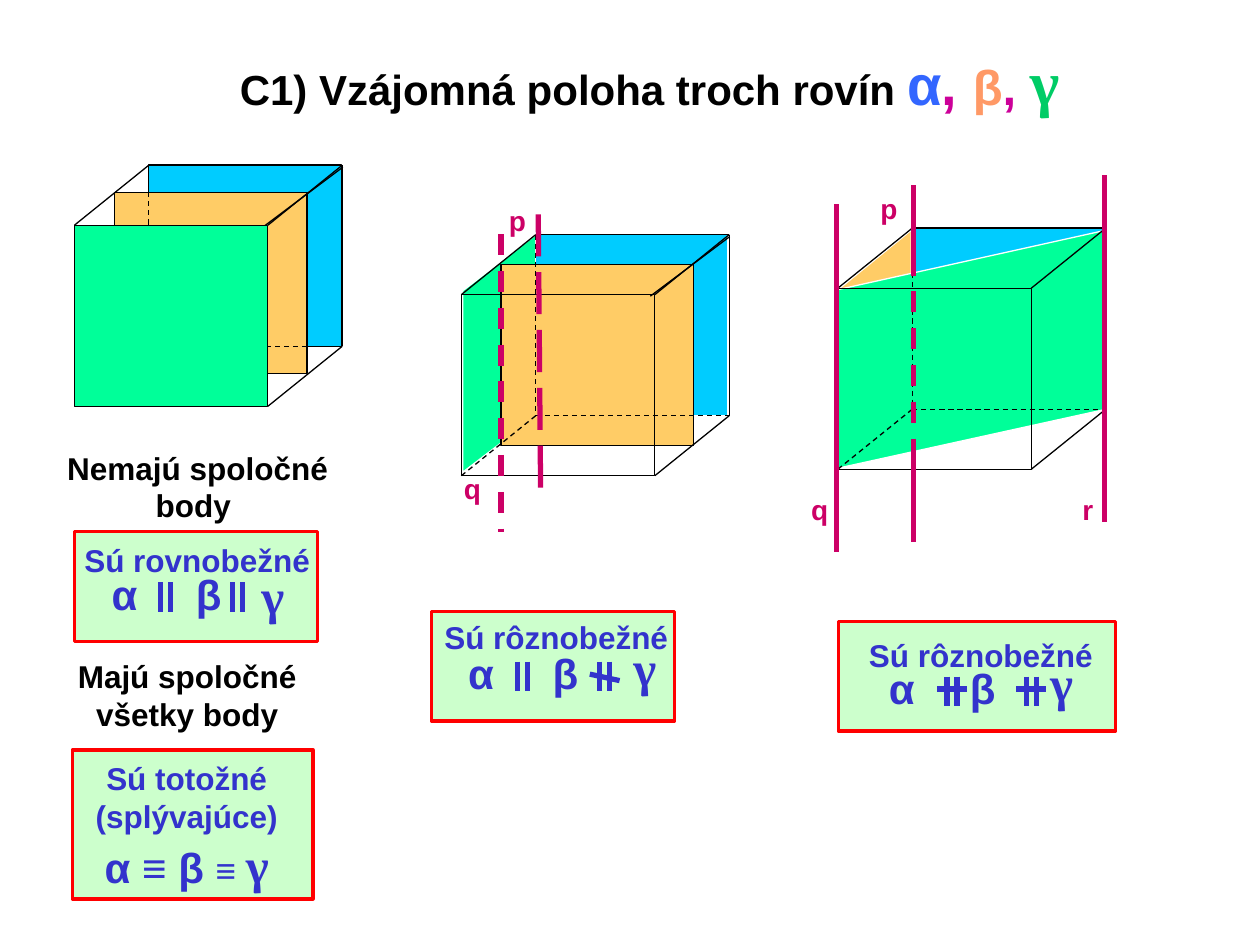
import pptx
import pptx.util
from lxml import etree
from pptx.dml.color import RGBColor
from pptx.enum.dml import MSO_LINE
from pptx.enum.shapes import MSO_CONNECTOR, MSO_SHAPE
from pptx.enum.text import MSO_AUTO_SIZE, PP_ALIGN
from pptx.oxml.ns import qn
from pptx.util import Cm, Pt

BLACK = RGBColor(0x00, 0x00, 0x00)
WHITE = RGBColor(0xFF, 0xFF, 0xFF)
CYAN = RGBColor(0x00, 0xCC, 0xFF)
ORANGE = RGBColor(0xFF, 0xCC, 0x66)
GREEN = RGBColor(0x00, 0xFF, 0x99)
MINT = RGBColor(0xCC, 0xFF, 0xCC)
RED = RGBColor(0xFF, 0x00, 0x00)
INDIGO = RGBColor(0x33, 0x33, 0xCC)
CRIMSON = RGBColor(0xCC, 0x00, 0x66)
ALPHA_BLUE = RGBColor(0x33, 0x66, 0xFF)
BETA_ORANGE = RGBColor(0xFF, 0x99, 0x66)
GAMMA_GREEN = RGBColor(0x00, 0xCC, 0x66)
COMMA_PINK = RGBColor(0xCC, 0x00, 0x99)
SANS, SERIF = "Arial", "Times New Roman"
LEFT, CENTER = PP_ALIGN.LEFT, PP_ALIGN.CENTER
DASH, LONG_DASH = MSO_LINE.DASH, MSO_LINE.LONG_DASH

TITLE = [
    ("C1) Vzájomná poloha troch rovín ", 24, BLACK, SANS),
    ("α", 32, ALPHA_BLUE, SANS),
    (", ", 32, COMMA_PINK, SANS),
    ("β", 28, BETA_ORANGE, SANS),
    (", ", 28, COMMA_PINK, SANS),
    ("γ", 36, GAMMA_GREEN, SERIF),
]
IDENTITY = [
    ("α ≡ β ", 24, INDIGO, SANS),
    ("≡ ", 20, INDIGO, SANS),
    ("γ", 28, INDIGO, SERIF),
]
STATEMENTS = [
    ((1.1, 8.92, 5.77, 1.78), ["Nemajú spoločné", "body "]),
    ((1.31, 13.13, 4.93, 1.78), ["Majú spoločné", "všetky body"]),
]
VERDICTS = [
    ((1.5, 10.72, 4.9, 2.21), (1.35, 10.79, 5.25, 1.85), ["Sú rovnobežné"], []),
    ((1.46, 15.12, 4.85, 3), (1.67, 15.18, 4.19, 2.97), ["Sú totožné", "(splývajúce)"], [IDENTITY]),
    ((8.7, 12.33, 4.9, 2.21), (8.6, 12.33, 5.23, 2.03), ["Sú rôznobežné"], []),
    ((16.9, 12.53, 5.59, 2.21), (17.16, 12.7, 5.23, 2.03), ["Sú rôznobežné"], []),
]
RELATIONS = [
    {"alpha": (2, 11.33), "beta": 1.7, "gamma": (3.02, -0.05), "marks": [(1.24, None), (2.69, None)]},
    {"alpha": (9.19, 12.93), "beta": 1.7, "gamma": (3.33, -0.2), "marks": [(1.24, None), (2.9, 0.13)]},
    {"alpha": (17.67, 13.23), "beta": 1.63, "gamma": (3.25, -0.2), "marks": [(1.42, 0), (3.02, 0)]},
]

WIDTH, HEIGHT, DEPTH, RISE = 3.9, 3.65, 1.5, 1.21
PLANE_WIDTH = 3.88
BACK = (DEPTH, -RISE)
INNER_EDGE = (5.41, -1.17, 3.81, 0.03)
CUBES = [
    {"origin": (1.5, 4.54), "sides": [],
     "planes": [(BACK, CYAN, BLACK), ((0.81, -0.66), ORANGE, BLACK)],
     "cuts": [], "edges": [INNER_EDGE], "front": GREEN},
    {"origin": (9.3, 5.94),
     "sides": [([(0.03, -0.08), (1.52, -1.22), (1.52, 2.44), (0.03, 3.58)], GREEN, WHITE)],
     "planes": [(BACK, CYAN, WHITE), ((0.8, -0.61), ORANGE, BLACK)],
     "cuts": [], "edges": [INNER_EDGE], "front": None},
    {"origin": (16.89, 5.81),
     "sides": [([(-0.03, 0.08), (1.47, -1.14), (1.47, 2.49), (-0.03, 3.68)], ORANGE, None)],
     "planes": [(BACK, CYAN, None)],
     "cuts": [([(0, 0.03), (5.41, -1.17), (5.41, 2.44), (0, 3.63)], GREEN, WHITE)],
     "edges": [], "front": None},
]
INTERSECTIONS = [
    (10.1, 4.72, 10.1, 10.72, DASH),
    (10.85, 4.32, 10.9, 10.13, LONG_DASH),
    (22.27, 3.53, 22.27, 10.52, None),
    (18.42, 3.73, 18.42, 5.54, None),
    (18.42, 5.13, 18.42, 9.12, DASH),
    (18.42, 9.12, 18.42, 10.92, None),
    (16.87, 4.12, 16.87, 11.12, None),
]
LINE_NAMES = [("p", 10.01, 3.97), ("q", 9.1, 9.39), ("p", 17.5, 3.73), ("q", 16.1, 9.8), ("r", 21.57, 9.8)]


def paint(shape, fill, line, weight=0.75):
    shape.shadow.inherit = False
    if fill is None:
        shape.fill.background()
    else:
        shape.fill.solid()
        shape.fill.fore_color.rgb = fill
    if line is None:
        shape.line.fill.background()
    else:
        shape.line.color.rgb = line
        shape.line.width = Pt(weight)


def add_rectangle(page, frame, fill, line, weight=0.75):
    paint(page.shapes.add_shape(MSO_SHAPE.RECTANGLE, *map(Cm, frame)), fill, line, weight)


def add_polygon(page, origin, points, fill, line):
    corners = [(Cm(origin[0] + x), Cm(origin[1] + y)) for x, y in points]
    builder = page.shapes.build_freeform(*corners[0])
    builder.add_line_segments(corners[1:], close=True)
    paint(builder.convert_to_shape(), fill, line)


def add_line(page, ends, color, weight, dash=None):
    line = page.shapes.add_connector(MSO_CONNECTOR.STRAIGHT, *map(Cm, ends))
    line.line.color.rgb = color
    line.line.width = Pt(weight)
    if dash is not None:
        line.line.dash_style = dash
    etree.SubElement(line._element.spPr, qn("a:effectLst"))


def set_font(font, size, color, name):
    font.size, font.name, font.bold = Pt(size), name, True
    font.color.rgb = color


def add_text(page, frame, paragraphs, align=LEFT, wrap=False):
    text = page.shapes.add_textbox(*map(Cm, frame)).text_frame
    text.word_wrap = wrap
    text.auto_size = MSO_AUTO_SIZE.SHAPE_TO_FIT_TEXT
    for index, spans in enumerate(paragraphs):
        para = text.add_paragraph() if index else text.paragraphs[0]
        para.alignment = align
        for words, *style in spans:
            span = para.add_run()
            span.text = words
            set_font(para.font if len(spans) == 1 else span.font, *style)


def add_cube(page, cube):
    x, y = cube["origin"]
    left, top = x + DEPTH, y - RISE
    right, bottom = left + WIDTH, top + HEIGHT
    for side in cube["sides"]:
        add_polygon(page, (x, y), *side)
    for (dx, dy), fill, line in cube["planes"]:
        add_rectangle(page, (x + dx, y + dy, PLANE_WIDTH, HEIGHT), fill, line)
    for cut in cube["cuts"]:
        add_polygon(page, (x, y), *cut)
    for x1, y1, x2, y2 in cube["edges"]:
        add_line(page, (x + x1, y + y1, x + x2, y + y2), BLACK, 0.75)
    edges = [
        (right, top, right, bottom, None),
        (left, top, right, top, None),
        (left, bottom, right, bottom, DASH),
        (left, top, left, bottom, DASH),
        (x, y, left, top, None),
        (x + WIDTH, y, right, top, None),
        (x + WIDTH, y + HEIGHT, right, bottom, None),
    ]
    if cube["front"] is None:
        edges.append((x, y + HEIGHT, left, bottom, DASH))
    for *ends, dash in edges:
        add_line(page, ends, BLACK, 0.75, dash)
    add_rectangle(page, (x, y, WIDTH, HEIGHT), cube["front"], BLACK)


def add_relation(page, relation):
    x, y = relation["alpha"]
    dx, dy = relation["gamma"]
    add_text(page, (x, y, 1.04, 1.27), [[("α", 24, INDIGO, SANS)]])
    add_text(page, (x + relation["beta"], y, 1.02, 1.27), [[("β", 24, INDIGO, SANS)]])
    add_text(page, (x + dx, y + dy, 0.97, 1.45), [[("γ", 28, INDIGO, SERIF)]])
    for offset, drop in relation["marks"]:
        mark = x + offset
        for bar in (mark, mark + 0.2):
            add_line(page, (bar, y + 0.41, bar, y + 1), INDIGO, 3)
        if drop is not None:
            add_line(page, (mark - 0.2, y + 0.66, mark + 0.4, y + 0.66 + drop), INDIGO, 3)


def main():
    deck = pptx.Presentation()
    deck.slide_width, deck.slide_height = Cm(25.4), Cm(19.05)
    page = deck.slides.add_slide(deck.slide_layouts[6])
    add_text(page, (4.09, 0.73, 18.01, 1.78), [TITLE], CENTER, True)
    for cube in CUBES:
        add_cube(page, cube)
    for *ends, dash in INTERSECTIONS:
        add_line(page, ends, CRIMSON, 3, dash)
    for name, x, y in LINE_NAMES:
        add_text(page, (x, y, 0.86, 0.94), [[(name, 16, CRIMSON, SANS)]])
    for frame, lines in STATEMENTS:
        add_text(page, frame, [[(line, 18, BLACK, SANS)] for line in lines], CENTER)
    for panel, frame, lines, formulas in VERDICTS:
        add_rectangle(page, panel, MINT, RED, 2)
        add_text(page, frame, [[(line, 18, INDIGO, SANS)] for line in lines] + formulas, CENTER)
    for relation in RELATIONS:
        add_relation(page, relation)
    deck.save("out.pptx")


if __name__ == "__main__":
    main()
